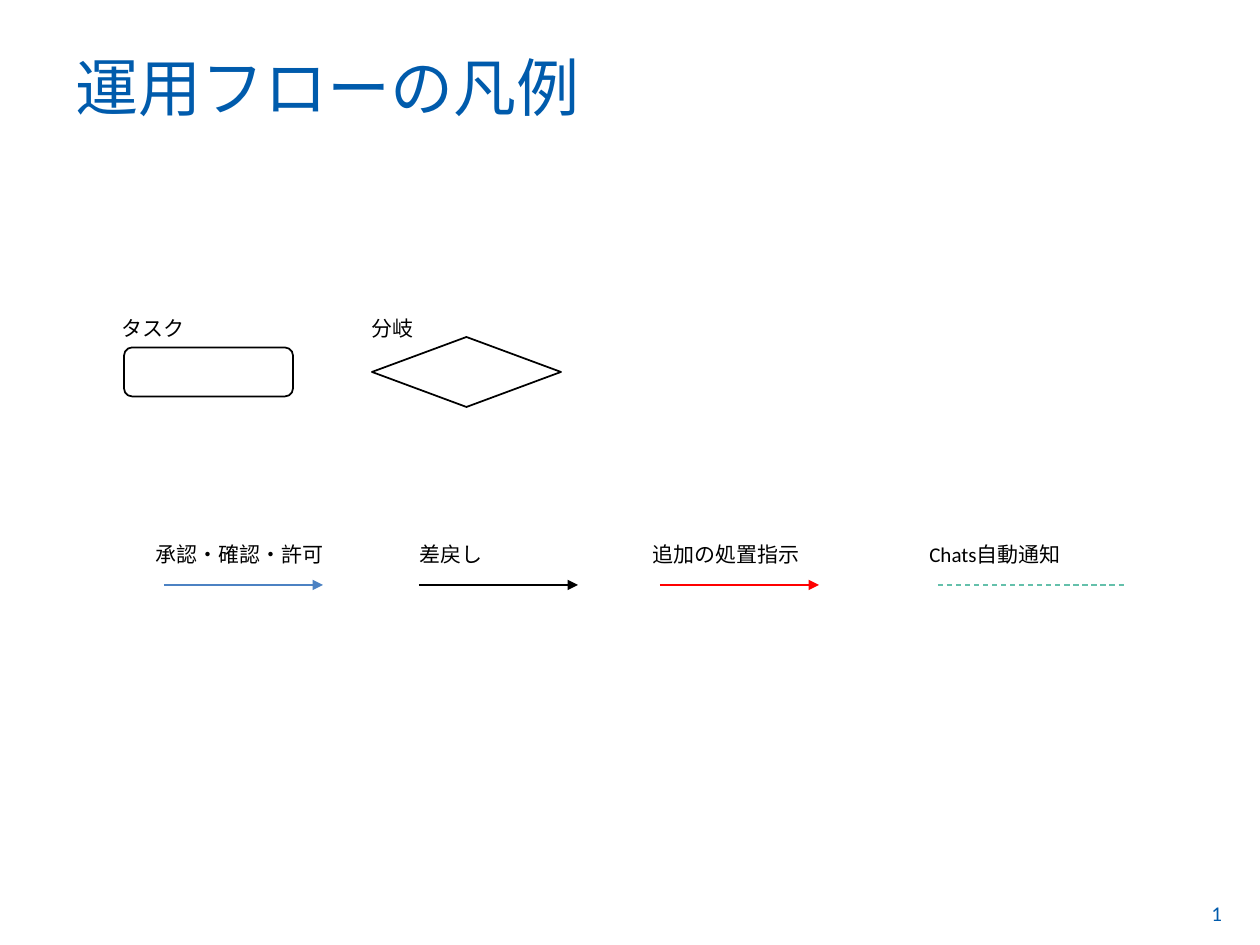
"""Build the legend slide for the operation flow."""
from lxml import etree
from pptx import Presentation
from pptx.dml.color import RGBColor
from pptx.enum import dml, shapes, text
from pptx.oxml import ns
from pptx.util import Inches, Pt

BLUE = RGBColor(0x00, 0x5B, 0xAC)
BLACK = RGBColor(0x00, 0x00, 0x00)
WHITE = RGBColor(0xFF, 0xFF, 0xFF)
APPROVAL = RGBColor(0x4C, 0x82, 0xC3)
RED = RGBColor(0xFF, 0x00, 0x00)
GREEN = RGBColor(0x64, 0xC0, 0xAB)

PX = Inches(1) // 126
FONT = "Calibri"
LABEL_HEIGHT = 38
SYMBOL_LABEL_TOP, SYMBOL_MIDDLE = 309, 372
FLOW_LABEL_TOP, FLOW_Y = 535, 585

TITLE = ("運用フローの凡例", 63, 33, 1134, 97)
PAGE_NUMBER = ("1", 1199, 894, 60, 50)

SYMBOLS = [
    ("タスク", 109, 100, shapes.MSO_SHAPE.ROUNDED_RECTANGLE, 124, 169, 49),
    ("分岐", 359, 100, shapes.MSO_SHAPE.FLOWCHART_DECISION, 372, 189, 70),
]
FLOWS = [
    ("承認・確認・許可", 143, 204, 164, 159, APPROVAL, False),
    ("差戻し", 407, 100, 419, 159, BLACK, False),
    ("追加の処置指示", 640, 179, 660, 159, RED, False),
    ("Chats自動通知", 917, 179, 938, 189, GREEN, True),
]


def add_text(slide, words, left, top, width, height, size=12, color=BLACK,
             anchor=text.MSO_ANCHOR.TOP):
    box = slide.shapes.add_textbox(left * PX, top * PX, width * PX, height * PX)
    frame = box.text_frame
    frame.word_wrap = True
    frame.vertical_anchor = anchor
    frame.text = words
    font = frame.paragraphs[0].runs[0].font
    font.name, font.size, font.color.rgb = FONT, Pt(size), color


def add_symbol(slide, kind, left, width, height):
    top = SYMBOL_MIDDLE * PX - height * PX // 2
    symbol = slide.shapes.add_shape(kind, left * PX, top, width * PX, height * PX)
    symbol.shadow.inherit = False
    symbol.fill.solid()
    symbol.fill.fore_color.rgb = WHITE
    symbol.line.color.rgb = BLACK
    symbol.line.width = Pt(1)


def add_flow(slide, start, length, color, dashed):
    flow = slide.shapes.add_connector(
        shapes.MSO_CONNECTOR.STRAIGHT,
        start * PX, FLOW_Y * PX, (start + length) * PX, FLOW_Y * PX)
    flow.line.color.rgb = color
    flow.line.width = Pt(0.75)
    if dashed:
        flow.line.dash_style = dml.MSO_LINE.DASH
    else:
        etree.SubElement(flow.line._get_or_add_ln(), ns.qn("a:tailEnd"), type="triangle")
    etree.SubElement(flow._element.spPr, ns.qn("a:effectLst"))


def main():
    deck = Presentation()
    deck.slide_width, deck.slide_height = Inches(10), Inches(7.5)
    slide = deck.slides.add_slide(deck.slide_layouts[6])
    add_text(slide, *PAGE_NUMBER, color=BLUE)
    add_text(slide, *TITLE, size=36, color=BLUE, anchor=text.MSO_ANCHOR.BOTTOM)
    for label, label_left, label_width, *symbol in SYMBOLS:
        add_symbol(slide, *symbol)
        add_text(slide, label, label_left, SYMBOL_LABEL_TOP, label_width, LABEL_HEIGHT)
    for label, label_left, label_width, *flow in FLOWS:
        add_flow(slide, *flow)
        add_text(slide, label, label_left, FLOW_LABEL_TOP, label_width, LABEL_HEIGHT)
    deck.save("out.pptx")


if __name__ == "__main__":
    main()
